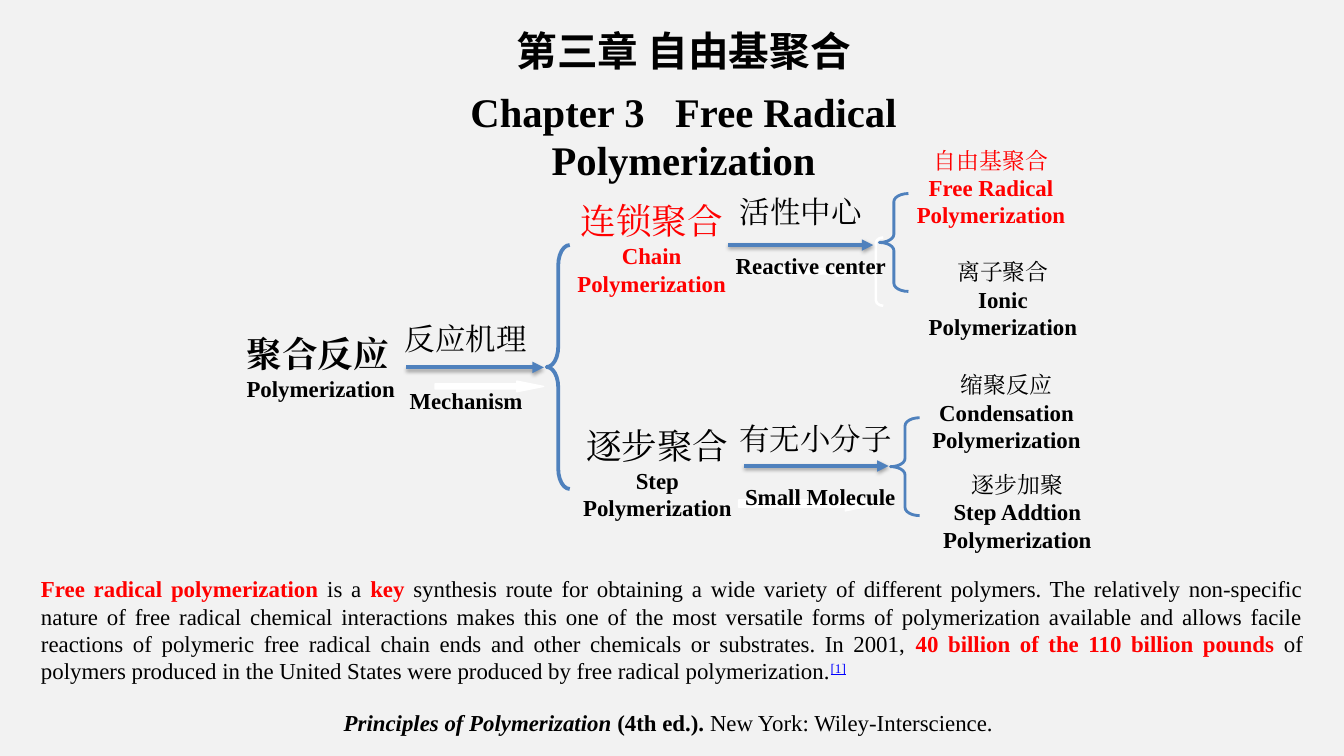
"""Build the chapter 3 slide: a tree of polymerization types with a summary."""
from lxml.etree import SubElement
from pptx import Presentation
from pptx.dml.color import RGBColor
from pptx.enum.shapes import MSO_CONNECTOR as CONNECTOR, MSO_SHAPE as SHAPE
from pptx.enum.text import MSO_AUTO_SIZE as AUTO_SIZE, PP_ALIGN as ALIGN
from pptx.oxml import parse_xml
from pptx.oxml.ns import nsdecls, qn
from pptx.util import Cm, Pt

COLORS = {
    "background": "F2F2F2", "black": "000000", "red": "FF0000",
    "blue": "4F81BD", "link": "0000FF", "white": "FFFFFF",
}
RGB = {name: RGBColor.from_string(value) for name, value in COLORS.items()}
TIMES = "Times New Roman"
SHADOW = (
    f'<a:effectLst {nsdecls("a")}><a:outerShdw blurRad="39370" dist="22860" '
    'dir="5400000" rotWithShape="0"><a:srgbClr val="000000">'
    '<a:alpha val="35000"/></a:srgbClr></a:outerShdw></a:effectLst>'
)


def write(paragraph, text, size=18, color="black", bold=False, italic=None,
          underline=None, baseline=None, font_name=TIMES):
    """Add one formatted run to a paragraph."""
    run = paragraph.add_run()
    run.text = text
    font = run.font
    font.size, font.name = Pt(size), font_name
    font.bold, font.italic, font.underline = bold, italic, underline
    font.color.rgb = RGB[color]
    properties = run._r.get_or_add_rPr()
    SubElement(properties, qn("a:ea")).set("typeface", font_name)
    if baseline:
        properties.set("baseline", str(baseline * 1000))


def add_text(box, lines, align=ALIGN.LEFT, spacing=None, wrap=False, inset=True):
    """Add a text box; each line is a list of (text, format) runs."""
    frame = slide.shapes.add_textbox(*map(Cm, box)).text_frame
    frame.word_wrap = wrap
    frame.auto_size = AUTO_SIZE.SHAPE_TO_FIT_TEXT
    if not inset:
        frame.margin_left = frame.margin_right = frame.margin_top = 0
        frame.margin_bottom = Cm(0.13)
    for index, runs in enumerate(lines):
        paragraph = frame.add_paragraph() if index else frame.paragraphs[0]
        paragraph.alignment = align
        if spacing:
            paragraph.line_spacing = Pt(spacing)
        for text, style in runs:
            write(paragraph, text, **style)
    return frame


presentation = Presentation()
presentation.slide_width, presentation.slide_height = Cm(37.34), Cm(21.01)
slide = presentation.slides.add_slide(presentation.slide_layouts[6])
slide.background.fill.solid()
slide.background.fill.fore_color.rgb = RGB["background"]

title = add_text((9.3, 0.97, 19.4, 2.95), [
    [("第三章 自由基聚合", {"size": 32, "bold": True, "font_name": "Noto Sans CJK SC"})],
    [("Chapter 3   Free Radical Polymerization", {"size": 32, "bold": True})],
], align=ALIGN.CENTER, inset=False)
chinese_title, english_title = title.paragraphs
chinese_title.line_spacing = Pt(31)
english_title.line_spacing = Pt(38)
english_title.space_before = Pt(10)

for left, top, width, height in [
    (12.09, 10.59, 3.02, 0.3), (20.93, 7.39, 3.05, 0.3), (20.52, 13.79, 3.99, 0.41),
]:
    block_arrow = slide.shapes.add_shape(
        SHAPE.RIGHT_ARROW, Cm(left), Cm(top), Cm(width), Cm(height))
    block_arrow.adjustments[1] = 2.5
    block_arrow.shadow.inherit = False
    block_arrow.fill.solid()
    block_arrow.fill.fore_color.rgb = RGB["white"]
    block_arrow.line.color.rgb = RGB["white"]
    block_arrow.line.width = Pt(1)

for left, top, width, height, curve, color, weight in [
    (15.19, 6.81, 0.64, 6.78, 0.88, "blue", 3),
    (24.13, 6.6, 0.41, 1.9, 0.38, "white", 2),
    (24.74, 11.61, 0.81, 2.72, 0.28, "blue", 2.25),
    (24.43, 5.38, 0.81, 2.72, 0.28, "blue", 2.25),
]:
    brace = slide.shapes.add_shape(
        SHAPE.LEFT_BRACE, Cm(left), Cm(top), Cm(width), Cm(height))
    brace.adjustments[0] = curve
    brace.shadow.inherit = False
    brace.fill.background()
    brace.line.color.rgb = RGB[color]
    brace.line.width = Pt(weight)

for start, end, y in [(11.28, 15.11, 10.21), (20.24, 24.26, 6.81), (20.68, 24.69, 12.95)]:
    arrow = slide.shapes.add_connector(
        CONNECTOR.STRAIGHT, Cm(start), Cm(y), Cm(end), Cm(y))
    arrow.line.color.rgb = RGB["blue"]
    arrow.line.width = Pt(3)
    SubElement(arrow.line._get_or_add_ln(), qn("a:tailEnd")).set("type", "triangle")
    arrow._element.spPr.append(parse_xml(SHADOW))

for text, box, spacing, inset in [
    ("反应机理", (11.25, 9.09, 3.43, 0.94), 23, False),
    ("活性中心", (20.55, 5.56, 3.43, 0.94), 23, False),
    ("有无小分子", (20.29, 11.46, 4.78, 1.27), 31, True),
]:
    add_text(box, [[(text, {"size": 24})]], spacing=spacing, inset=inset)

for text, box, spacing in [
    ("Mechanism", (11.13, 9.88, 3.68, 1.55), 43),
    ("Small Molecule", (20.45, 13.28, 4.72, 1.02), None),
    ("Reactive center", (20.19, 6.88, 4.72, 1.02), None),
]:
    add_text(box, [[(text, {"bold": True})]], spacing=spacing)

add_text((6.6, 9.09, 4.67, 2.24), [
    [("聚合反应", {"size": 28, "bold": True})],
    [("Polymerization", {"bold": True})],
])

for chinese, english, left, top, height, size, color in [
    ("连锁聚合", "Chain", 15.77, 5.41, 3, 28, "red"),
    ("逐步聚合", "Step", 15.93, 11.66, 3, 28, "black"),
    ("自由基聚合", "Free Radical", 25.2, 3.94, 2.57, 18, "red"),
    ("离子聚合", "Ionic", 25.53, 7.04, 2.57, 18, "black"),
    ("缩聚反应", "Condensation", 25.63, 10.19, 2.57, 18, "black"),
    ("逐步加聚", "Step Addtion", 25.93, 12.95, 2.57, 18, "black"),
]:
    english_style = {"color": color, "bold": True}
    add_text((left, top, 4.67, height), [
        [(chinese, {"size": size, "color": color})],
        [(english, english_style)],
        [("Polymerization", english_style)],
    ], align=ALIGN.CENTER)

key_term = {"color": "red", "bold": True}
add_text((0.89, 15.85, 35.56, 3.33), [[
    ("Free radical polymerization", key_term),
    (" is a ", {}),
    ("key", key_term),
    (" synthesis route for obtaining a wide variety of different polymers. "
     "The relatively non-specific nature of free radical chemical interactions "
     "makes this one of the most versatile forms of polymerization available and "
     "allows facile reactions of polymeric free radical chain ends and other "
     "chemicals or substrates. In 2001, ", {}),
    ("40 billion of the 110 billion pounds", key_term),
    (" of polymers produced in the United States were produced by free radical "
     "polymerization.", {}),
    ("[1]", {"color": "link", "underline": True, "baseline": 30}),
]], align=ALIGN.JUSTIFY, wrap=True)

add_text((9.3, 19.56, 25.91, 1.02), [[
    ("Principles of Polymerization", {"bold": True, "italic": True}),
    (" (4th ed.). ", {"bold": True}),
    ("New York: Wiley-Interscience.", {}),
]], wrap=True)

presentation.save("out.pptx")
